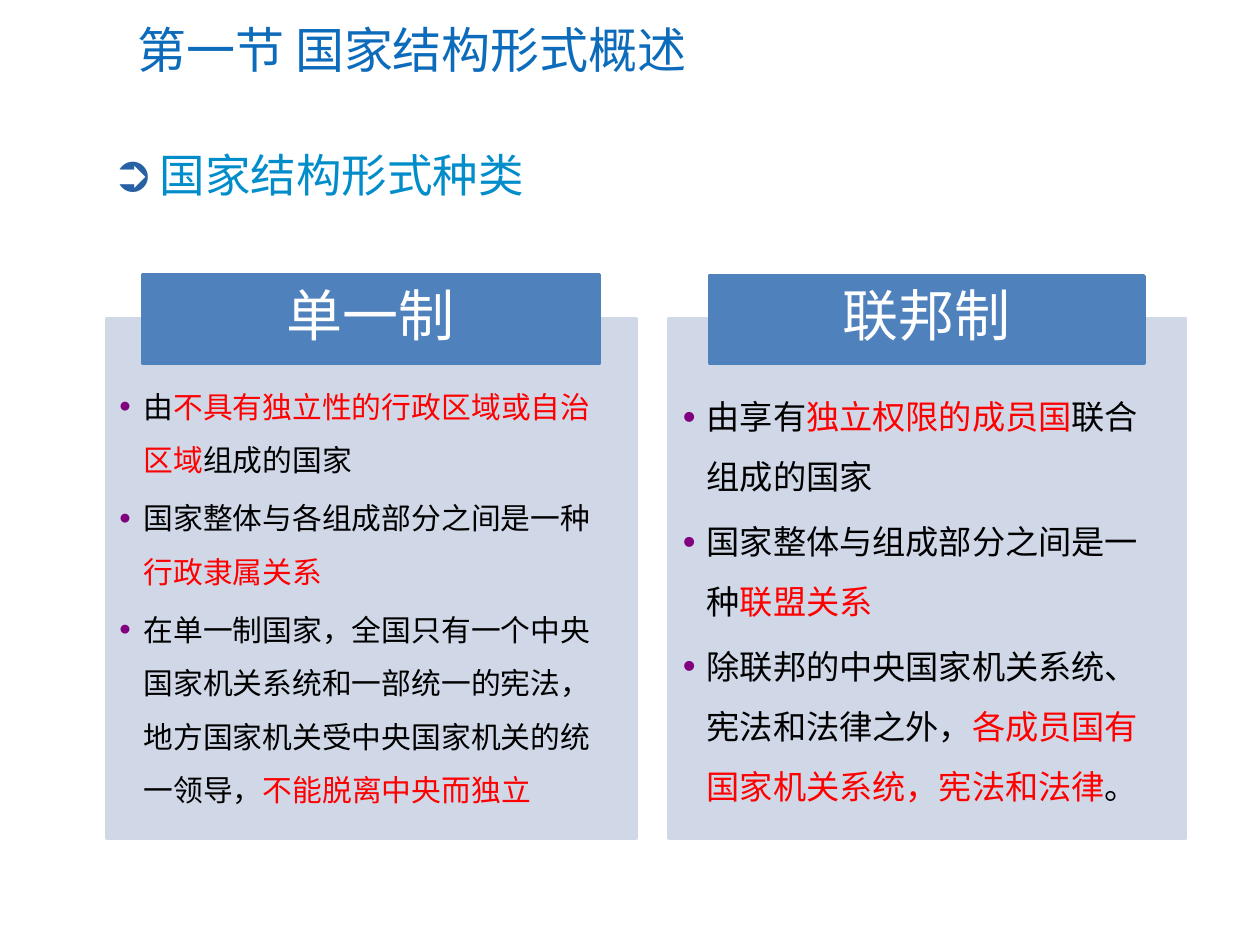
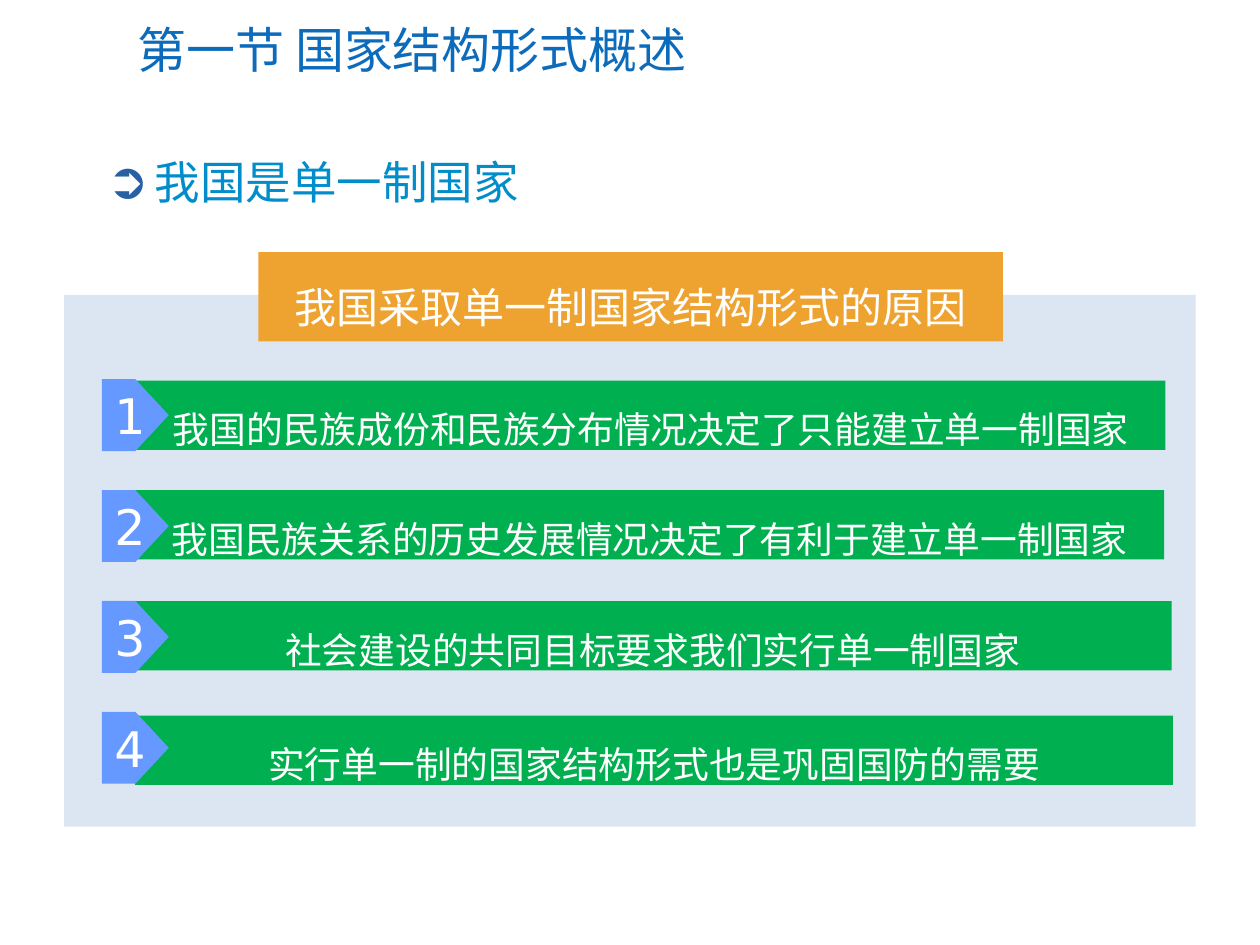
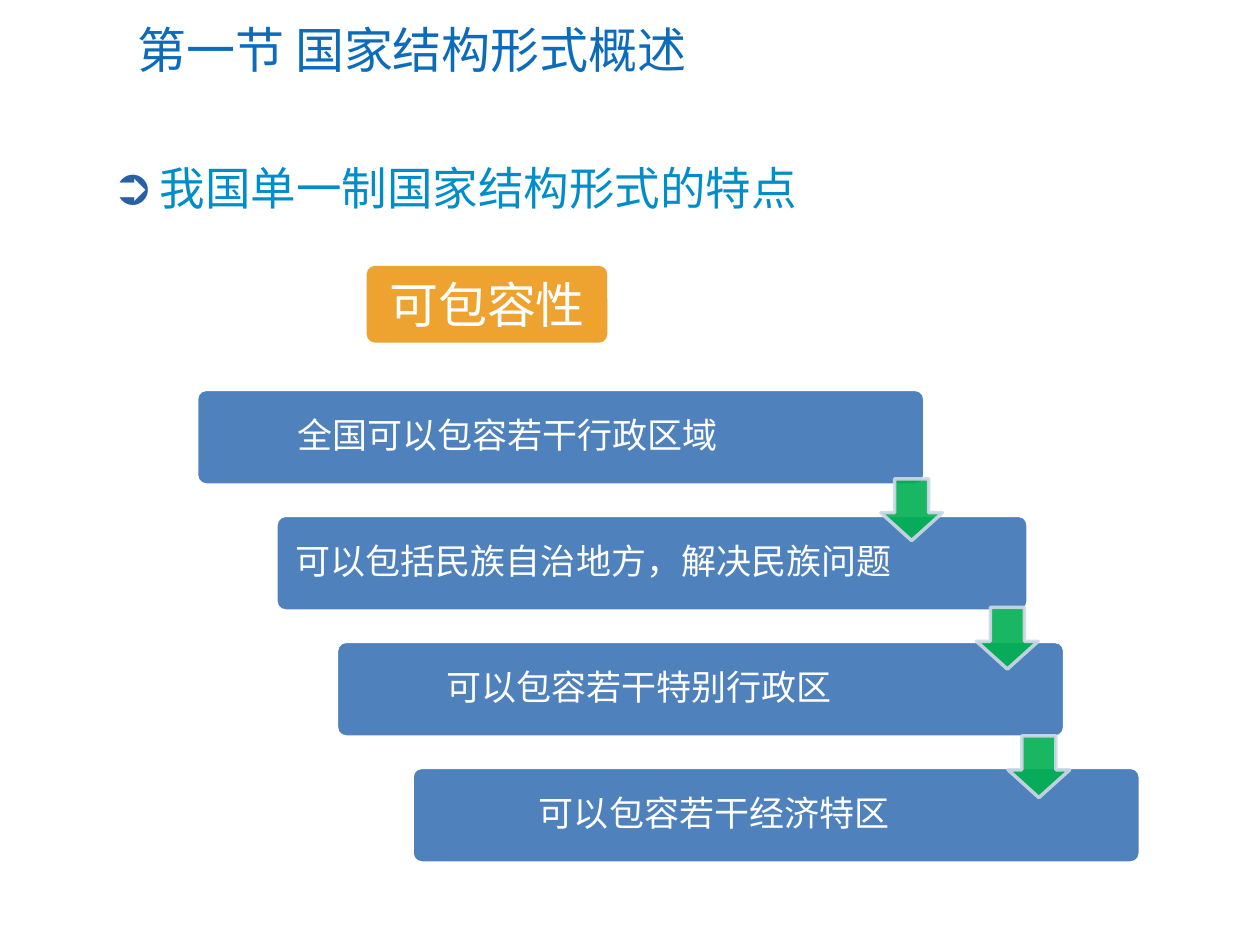
from lxml import etree
from pptx import Presentation
from pptx.dml.color import RGBColor
from pptx.enum import shapes as kinds, text as txt
from pptx.oxml.ns import qn
from pptx.util import Inches, Pt

CJK, LATIN, DIGITS = "Noto Sans CJK SC", "Calibri", "DejaVu Sans"
WHITE, BLACK, RED = "FFFFFF", "000000", "FF0000"
TITLE_BLUE, TOPIC_BLUE, TOPIC_BULLET = "0C6BBA", "008DCA", "2860A4"
STEEL, PALE, MIST = "4F81BD", "D0D8E8", "DCE6F2"
ORANGE, GREEN, TAG_BLUE, PURPLE = "EEA230", "00B050", "6699FF", "800080"
LEFT, CENTER, RIGHT = txt.PP_ALIGN.LEFT, txt.PP_ALIGN.CENTER, txt.PP_ALIGN.RIGHT
TOP, MIDDLE = txt.MSO_ANCHOR.TOP, txt.MSO_ANCHOR.MIDDLE
RECT, ROUND = kinds.MSO_SHAPE.RECTANGLE, kinds.MSO_SHAPE.ROUNDED_RECTANGLE
# Line heights as multiples of the text size
SINGLE, AIRY, BODY = 1.2, 1.75, 1.8

SECTION = "第一节 国家结构形式概述"

# Words between asterisks are shown in red
SYSTEMS = [
    dict(name="单一制", header=(1.13, 2.18, 3.63, 0.7), panel=(0.85, 2.53, 4.2, 4.12),
         size=17, font=CJK, insets=(0.1, 0.41, 0.15, 0.1), points=[
             "由*不具有独立性的行政区域或自治区域*组成的国家",
             "国家整体与各组成部分之间是一种*行政隶属关系*",
             "在单一制国家，全国只有一个中央国家机关系统和一部统一的宪法，"
             "地方国家机关受中央国家机关的统一领导，*不能脱离中央而独立*"]),
    dict(name="联邦制", header=(5.63, 2.19, 3.45, 0.69), panel=(5.31, 2.53, 4.1, 4.12),
         size=19, font=LATIN, insets=(0.11, 0.46, 0.15, 0.1), points=[
             "由享有*独立权限的成员国*联合组成的国家",
             "国家整体与组成部分之间是一种*联盟关系*",
             "除联邦的中央国家机关系统、宪法和法律之外，"
             "*各成员国有国家机关系统，宪法和法律*。"]),
]

# Text, left, top and width of each bar
REASONS = [
    ("我国的民族成份和民族分布情况决定了只能建立单一制国家", 1.08, 3.02, 8.17),
    ("我国民族关系的历史发展情况决定了有利于建立单一制国家", 1.07, 3.89, 8.17),
    ("社会建设的共同目标要求我们实行单一制国家", 1.06, 4.77, 8.24),
    ("实行单一制的国家结构形式也是巩固国防的需要", 1.07, 5.68, 8.24),
]

# Text, left, width, right inset and alignment of each step
STEPS = [
    ("全国可以包容若干行政区域", 1.56, 5.78, 0.94, CENTER),
    ("可以包括民族自治地方，解决民族问题", 2.19, 5.97, 1.06, RIGHT),
    ("可以包容若干特别行政区", 2.67, 5.78, 1.07, CENTER),
    ("可以包容若干经济特区", 3.27, 5.78, 1.08, CENTER),
]
ARROW_LEFTS = [6.99, 7.75, 8]


def rgb(value):
    return RGBColor.from_string(value)


def inches(*lengths):
    return [Inches(length) for length in lengths]


def add_child(parent, tag, **attributes):
    return etree.SubElement(parent, qn(tag), attributes)


def style_run(run, size, color, font=CJK):
    run.font.size = Pt(size)
    run.font.color.rgb = rgb(color)
    run.font.name = font
    add_child(run.font._element, "a:ea", typeface=CJK)


def set_bullet(paragraph, mark, color, indent, font):
    properties = paragraph._p.get_or_add_pPr()
    properties.set("marL", str(Inches(indent)))
    properties.set("indent", str(-Inches(indent)))
    add_child(add_child(properties, "a:buClr"), "a:srgbClr", val=color)
    add_child(properties, "a:buSzPct", val="110000")
    add_child(properties, "a:buFont", typeface=font)
    add_child(properties, "a:buChar", char=mark)


def set_frame(frame, insets=(0.1, 0.05, 0.1, 0.05), anchor=TOP):
    frame.word_wrap = True
    frame.vertical_anchor = anchor
    (frame.margin_left, frame.margin_top,
     frame.margin_right, frame.margin_bottom) = inches(*insets)


def write(shape, words, size, font=CJK, color=WHITE, align=LEFT, spacing=SINGLE, **frame):
    """Fill a shape with one styled paragraph and return that paragraph."""
    set_frame(shape.text_frame, **frame)
    paragraph = shape.text_frame.paragraphs[0]
    paragraph.text = words
    paragraph.alignment = align
    if spacing:
        paragraph.line_spacing = Pt(size * spacing)
    style_run(paragraph.runs[0], size, color, font)
    return paragraph


def add_block(shapes, kind, box, fill, line=None, opacity=None):
    block = shapes.add_shape(kind, *inches(*box))
    block.shadow.inherit = False
    block.fill.solid()
    block.fill.fore_color.rgb = rgb(fill)
    if line:
        block.line.color.rgb = rgb(line)
        block.line.width = Pt(2)
    else:
        block.line.fill.background()
    if opacity:
        for color in block._element.spPr.iter(qn("a:srgbClr")):
            add_child(color, "a:alpha", val=str(opacity * 1000))
    return block


def add_slide(deck, topic, left, top):
    slide = deck.slides.add_slide(deck.slide_layouts[5])
    title = slide.shapes.title
    title.left, title.top, title.width, title.height = inches(0.99, 0.1, 8.72, 0.58)
    write(title, SECTION, 28, LATIN, TITLE_BLUE, anchor=MIDDLE)
    heading = slide.shapes.add_textbox(*inches(left, top, 8.34, 0.54))
    paragraph = write(heading, topic, 26, LATIN, TOPIC_BLUE, spacing=None)
    set_bullet(paragraph, "➲", TOPIC_BULLET, 0.38, DIGITS)
    paragraph.line_spacing = Pt(26 * SINGLE)
    return slide.shapes


def write_points(panel, system):
    frame = panel.text_frame
    set_frame(frame, system["insets"])
    for index, point in enumerate(system["points"]):
        paragraph = frame.add_paragraph() if index else frame.paragraphs[0]
        set_bullet(paragraph, "•", PURPLE, 0.19, "Arial")
        paragraph.alignment = LEFT
        paragraph.line_spacing = Pt(system["size"] * BODY)
        paragraph.space_after = Pt(system["size"] * 0.15)
        for part, words in enumerate(point.split("*")):
            if words:
                run = paragraph.add_run()
                run.text = words
                style_run(run, system["size"], RED if part % 2 else BLACK, system["font"])


def build_kinds(deck):
    shapes = add_slide(deck, "国家结构形式种类", 0.79, 1.12)
    for system in SYSTEMS:
        write_points(add_block(shapes, RECT, system["panel"], PALE, PALE), system)
    for system in SYSTEMS:
        header = add_block(shapes, RECT, system["header"], STEEL, STEEL)
        write(header, system["name"], 32, LATIN, align=CENTER,
              insets=(0.25, 0.05, 0.25, 0.13), anchor=MIDDLE)


def build_reasons(deck):
    shapes = add_slide(deck, "我国是单一制国家", 0.75, 1.17)
    add_block(shapes, RECT, (0.51, 2.34, 8.98, 4.22), MIST)
    banner = add_block(shapes, RECT, (2.05, 2, 5.91, 0.71), ORANGE)
    write(banner, "我国采取单一制国家结构形式的原因", 24, align=CENTER, spacing=AIRY)
    for index, (reason, left, top, width) in enumerate(REASONS):
        row = shapes.add_group_shape().shapes
        bar = add_block(row, RECT, (left, top, width, 0.55), GREEN)
        write(bar, reason, 21, align=CENTER, spacing=AIRY)
        tag = add_block(row, kinds.MSO_SHAPE.PENTAGON,
                        (0.81, 3.01 + 0.88 * index, 0.53, 0.57), TAG_BLUE)
        write(tag, str(index + 1), 28, DIGITS, spacing=None)


def build_features(deck):
    shapes = add_slide(deck, "我国单一制国家结构形式的特点", 0.79, 1.22)
    feature = add_block(shapes, ROUND, (2.91, 2.11, 1.91, 0.61), ORANGE)
    feature.adjustments[0] = 0.11
    write(feature, "可包容性", 28, insets=(0.16, 0.05, 0.1, 0.05))
    for index, (step, left, width, inset, align) in enumerate(STEPS):
        bar = add_block(shapes, ROUND, (left, 3.09 + index, width, 0.76), STEEL, WHITE)
        bar.adjustments[0] = 0.1
        write(bar, step, 20, align=align, insets=(0.1, 0.1, inset, 0.15), anchor=MIDDLE)
    for index, left in enumerate(ARROW_LEFTS):
        arrow = add_block(shapes, kinds.MSO_SHAPE.DOWN_ARROW,
                          (left, 3.8 + 1.02 * index, 0.49, 0.49), GREEN, PALE, 90)
        arrow.adjustments[0], arrow.adjustments[1] = 0.55, 0.45


def main():
    deck = Presentation()
    deck.slide_width, deck.slide_height = inches(10, 7.5)
    build_kinds(deck)
    build_reasons(deck)
    build_features(deck)
    deck.save("out.pptx")


if __name__ == "__main__":
    main()
